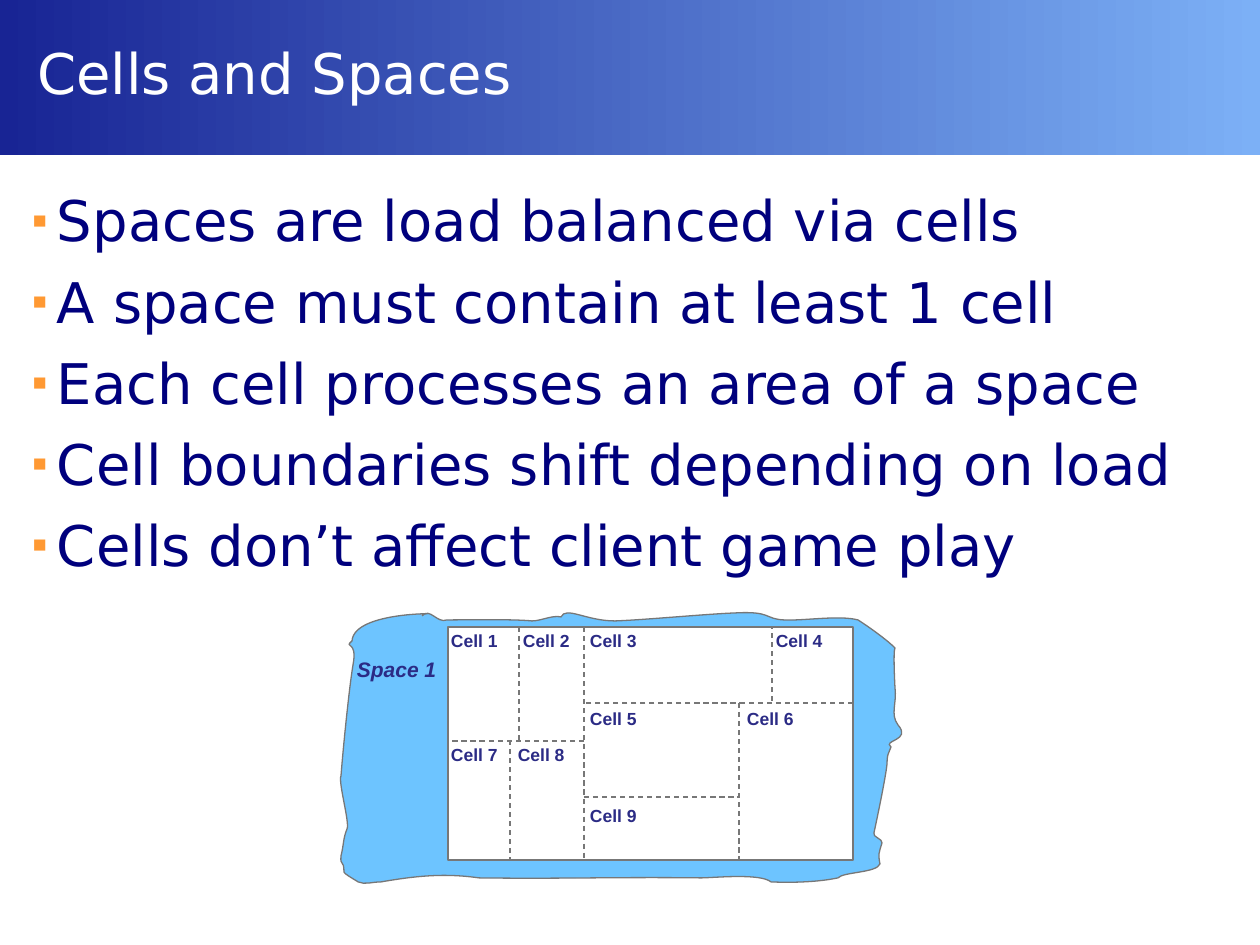
from lxml import etree
from pptx import Presentation
from pptx import util as u
from pptx.dml import color
from pptx.enum import dml, shapes, text
from pptx.oxml import ns

PX = 914400 / 126
HUES = {
    "dark": "182494", "light": "7CB0F6", "white": "FFFFFF", "navy": "00007D",
    "orange": "FF9933", "sky": "6DC4FF", "gray": "777777", "label": "2B2B85",
}
POINTS = [
    "Spaces are load balanced via cells",
    "A space must contain at least 1 cell",
    "Each cell processes an area of a space",
    "Cell boundaries shift depending on load",
    "Cells don’t affect client game play",
]
START = (422, 616)
CURVES = [
    (430, 607, 437, 624, 447, 620), (460, 620, 513, 619, 532, 621),
    (541, 621, 552, 615, 561, 617), (566, 606, 586, 621, 615, 621),
    (644, 620, 707, 614, 735, 613), (772, 611, 764, 619, 784, 620),
    (804, 621, 839, 615, 858, 620), (872, 629, 888, 641, 895, 648),
    (893, 651, 895, 688, 895, 688), (897, 704, 890, 714, 898, 725),
    (912, 741, 882, 740, 891, 747), (891, 752, 887, 750, 887, 764),
    (886, 776, 877, 819, 874, 833), (872, 837, 883, 839, 882, 843),
    (879, 853, 878, 854, 880, 864), (877, 873, 843, 872, 838, 878),
    (819, 882, 794, 883, 771, 882), (760, 873, 713, 878, 701, 878),
    (616, 877, 563, 879, 479, 878), (444, 873, 416, 876, 381, 882),
    (372, 882, 365, 885, 358, 882), (357, 881, 344, 874, 344, 872),
    (344, 859, 340, 867, 341, 856), (344, 844, 343, 839, 347, 829),
    (350, 823, 338, 782, 341, 776), (343, 750, 349, 689, 353, 665),
    (358, 639, 343, 649, 352, 641), (354, 610, 452, 614, 421, 614),
]
BORDERS = [
    (519, 740, 519, 627), (510, 740, 510, 860), (584, 627, 584, 860),
    (584, 741, 448, 741), (853, 703, 584, 703), (739, 703, 739, 860),
    (584, 797, 739, 797), (772, 701, 772, 627),
]
CELLS = [
    (451, 630), (523, 630), (590, 630), (776, 630), (590, 708),
    (747, 708), (451, 744), (518, 744), (590, 805),
]


def px(*nums):
    return [u.Emu(round(n * PX)) for n in nums]


def hue(name):
    return color.RGBColor.from_string(HUES[name])


def style(par, size, name, face, bold=False, slant=False):
    for run in par.runs:
        font = run.font
        font.size, font.name = u.Pt(size), face
        font.bold, font.italic = bold, slant
        font.color.rgb = hue(name)


def place(shape, box, pad):
    shape.left, shape.top, shape.width, shape.height = px(*box)
    frame = shape.text_frame
    (frame.margin_left, frame.margin_top,
     frame.margin_right, frame.margin_bottom) = px(*pad)
    frame.auto_size = text.MSO_AUTO_SIZE.NONE
    return frame


def paint(shape, fill, width):
    shape.shadow.inherit = False
    shape.fill.solid()
    shape.fill.fore_color.rgb = hue(fill)
    shape.line.color.rgb = hue("gray")
    shape.line.width = u.Pt(width)


def banner(slide):
    bar = slide.shapes.add_shape(
        shapes.MSO_SHAPE.RECTANGLE, *px(0, 0, 1260, 155))
    bar.shadow.inherit = False
    bar.line.fill.background()
    bar.fill.gradient()
    bar.fill.gradient_angle = 0
    for stop, name in zip(bar.fill.gradient_stops, ("dark", "light")):
        stop.color.rgb = hue(name)
    slide.shapes._spTree.insert(2, bar._element)


def title(slide, words):
    frame = place(slide.shapes.title, (25, 0, 1206, 145), (12, 5, 13, 6))
    frame.text = words
    frame.vertical_anchor = text.MSO_ANCHOR.MIDDLE
    par = frame.paragraphs[0]
    par.alignment = text.PP_ALIGN.LEFT
    style(par, 32, "white", "DejaVu Sans")


def bullet(par):
    props = par._p.get_or_add_pPr()
    gap = px(25)[0]
    props.set("marL", str(gap))
    props.set("indent", str(-gap))
    tint = etree.SubElement(props, ns.qn("a:buClr"))
    etree.SubElement(tint, ns.qn("a:srgbClr"), val=HUES["orange"])
    etree.SubElement(props, ns.qn("a:buSzPct"), val="80000")
    etree.SubElement(props, ns.qn("a:buChar"), char="▪")


def points(slide):
    frame = place(slide.placeholders[1], (25, 185, 1206, 694), (7, 1, 5, 6))
    frame.text = "\n".join(POINTS)
    for par in frame.paragraphs:
        par.space_before = u.Pt(8)
        bullet(par)
        style(par, 32, "navy", "DejaVu Sans")


def bend(shape):
    route = next(shape._element.iter(ns.qn("a:path")))
    lines = route.findall(ns.qn("a:lnTo"))
    for i in range(0, len(lines), 3):
        curve = etree.SubElement(route, ns.qn("a:cubicBezTo"))
        for line in lines[i:i + 3]:
            curve.append(line[0])
            route.remove(line)


def space(slide):
    pen = slide.shapes.build_freeform(*START, scale=PX)
    dots = [c[i:i + 2] for c in CURVES for i in (0, 2, 4)]
    pen.add_line_segments(dots, close=False)
    blob = pen.convert_to_shape()
    bend(blob)
    paint(blob, "sky", 0.75)


def grid(slide):
    area = slide.shapes.add_shape(
        shapes.MSO_SHAPE.RECTANGLE, *px(448, 627, 405, 233))
    paint(area, "white", 1)


def border(slide, ends):
    line = slide.shapes.add_connector(
        shapes.MSO_CONNECTOR.STRAIGHT, *px(*ends))
    line.line.color.rgb = hue("gray")
    line.line.width = u.Pt(0.75)
    line.line.dash_style = dml.MSO_LINE.DASH
    etree.SubElement(line._element.spPr, ns.qn("a:effectLst"))


def label(slide, words, box, size, slant=False):
    shape = slide.shapes.add_textbox(0, 0, 0, 0)
    frame = place(shape, box, (0, 0, 0, 0))
    frame.word_wrap = False
    frame.text = words
    style(frame.paragraphs[0], size, "label", "Arial", True, slant)


def main():
    deck = Presentation()
    deck.slide_width, deck.slide_height = px(1260, 945)
    slide = deck.slides.add_slide(deck.slide_layouts[1])
    banner(slide)
    title(slide, "Cells and Spaces")
    points(slide)
    space(slide)
    grid(slide)
    for ends in BORDERS:
        border(slide, ends)
    for num, (x, y) in enumerate(CELLS, 1):
        label(slide, f"Cell {num}", (x, y, 52, 20), 10)
    label(slide, "Space 1", (357, 657, 86, 30), 12, True)
    deck.save("out.pptx")


if __name__ == "__main__":
    main()
